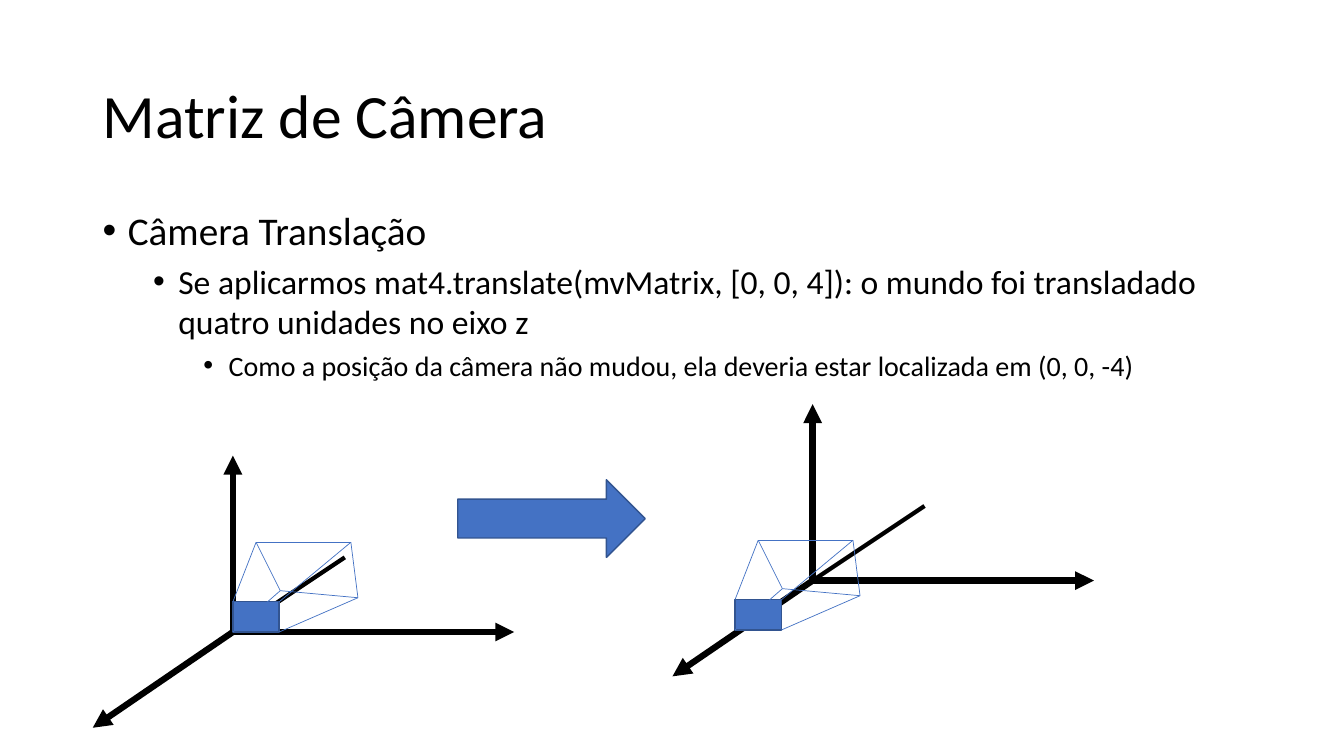
from lxml.etree import SubElement
from pptx import Presentation
from pptx.dml.color import RGBColor
from pptx.enum.shapes import MSO_CONNECTOR as Connector, MSO_SHAPE as Shape
from pptx.enum.text import MSO_ANCHOR as Anchor
from pptx.oxml.ns import qn
from pptx.util import Emu, Pt

EMU_PER_PX = 9144
FONT = "Calibri"
BLACK = RGBColor(0x00, 0x00, 0x00)
BLUE = RGBColor(0x44, 0x72, 0xC4)
DARK_BLUE = RGBColor(0x32, 0x54, 0x90)

TOPICS = [
    ("Câmera Translação", 28, 0),
    ("Se aplicarmos mat4.translate(mvMatrix, [0, 0, 4]): o mundo foi "
     "transladado quatro unidades no eixo z", 24, 5),
    ("Como a posição da câmera não mudou, ela deveria estar localizada em "
     "(0, 0, -4)", 20, 5),
]


def px(length):
    return Emu(length * EMU_PER_PX)


def add_text_box(page, left, top, width, height, anchor):
    box = page.shapes.add_textbox(px(left), px(top), px(width), px(height))
    box.text_frame.word_wrap = True
    box.text_frame.vertical_anchor = anchor
    return box.text_frame


def write(para, text, size):
    para.add_run().text = text
    para.font.name = FONT
    para.font.size = Pt(size)
    para.font.color.rgb = BLACK


def add_bullet(para, level):
    para.level = level
    properties = para._p.get_or_add_pPr()
    properties.set("marL", str(px(25 + 50 * level)))
    properties.set("indent", str(px(-25)))
    color = SubElement(properties, qn("a:buClr"))
    SubElement(color, qn("a:srgbClr"), val=str(BLACK))
    SubElement(properties, qn("a:buFont"), typeface="Arial")
    SubElement(properties, qn("a:buChar"), char="•")


def add_topics(page):
    frame = add_text_box(page, 92, 200, 1150, 476, Anchor.TOP)
    for level, (text, size, space) in enumerate(TOPICS):
        para = frame.add_paragraph() if level else frame.paragraphs[0]
        add_bullet(para, level)
        if space:
            para.space_before = Pt(space)
        write(para, text, size)


def add_line(shapes, start, end, color, width, arrow=False):
    line = shapes.add_connector(
        Connector.STRAIGHT, *map(px, start), *map(px, end))
    line.line.color.rgb = color
    line.line.width = Pt(width)
    if arrow:
        SubElement(line.line._get_or_add_ln(), qn("a:tailEnd"), type="triangle")
    SubElement(line._element.spPr, qn("a:effectLst"))


def add_blue_shape(shapes, kind, left, top, width, height):
    shape = shapes.add_shape(kind, px(left), px(top), px(width), px(height))
    shape.shadow.inherit = False
    shape.fill.solid()
    shape.fill.fore_color.rgb = BLUE
    shape.line.color.rgb = DARK_BLUE
    shape.line.width = Pt(1)


def add_axes(page, x, y):
    shapes = page.shapes.add_group_shape().shapes
    for dx, dy in [(0, -175), (279, 0), (-139, 95)]:
        add_line(shapes, (x, y), (x + dx, y + dy), BLACK, 4.5, arrow=True)
    add_line(shapes, (x, y), (x + 111, y - 74), BLACK, 3)


def add_camera(page, x, y):
    shapes = page.shapes.add_group_shape().shapes
    add_blue_shape(shapes, Shape.RECTANGLE, x, y, 46, 30)
    near_left, near_right = (0, 0), (46, 0)
    base_left, base_right = (0, 30), (46, 30)
    far_left, far_right = (23, -59), (117, -59)
    far_base_left, far_base_right = (47, -11), (124, -4)
    edges = [
        (near_left, far_left), (near_right, far_right),
        (far_left, far_right), (base_right, far_base_right),
        (far_right, far_base_right), (base_left, far_base_left),
        (far_left, far_base_left), (far_base_left, far_base_right),
    ]
    for (x1, y1), (x2, y2) in edges:
        add_line(shapes, (x + x1, y + y1), (x + x2, y + y2), BLUE, 0.5)


def main():
    deck = Presentation()
    deck.slide_width, deck.slide_height = px(1333), px(750)
    page = deck.slides.add_slide(deck.slide_layouts[6])

    title = add_text_box(page, 92, 40, 1150, 145, Anchor.MIDDLE)
    write(title.paragraphs[0], "Matriz de Câmera", 44)
    add_topics(page)

    add_axes(page, 231, 627)
    add_camera(page, 231, 597)
    add_axes(page, 806, 576)
    add_camera(page, 729, 595)
    add_blue_shape(page.shapes, Shape.RIGHT_ARROW, 454, 476, 186, 77)

    deck.save("out.pptx")


if __name__ == "__main__":
    main()
